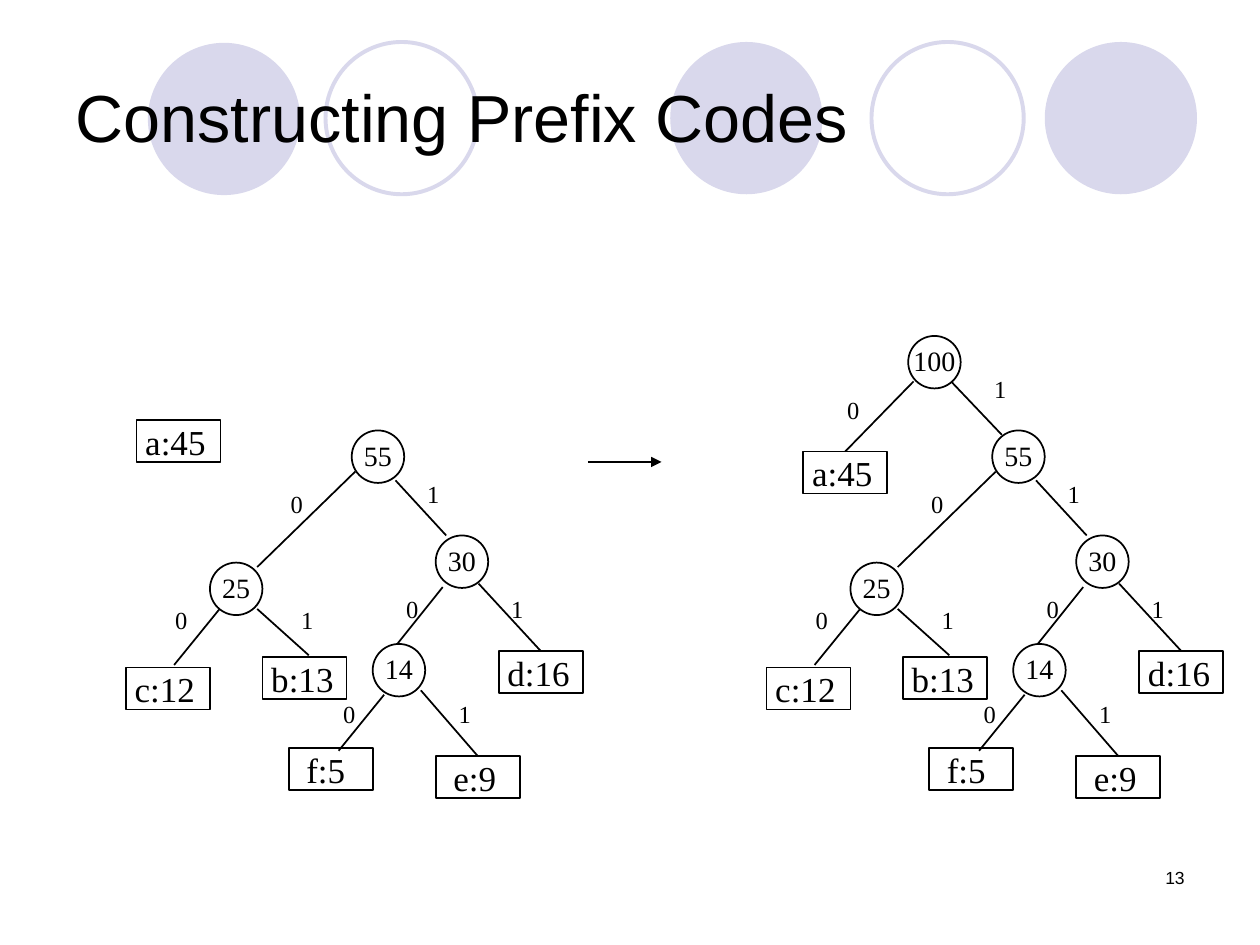
from lxml.etree import SubElement
from pptx import Presentation
from pptx.dml.color import RGBColor
from pptx.enum.shapes import MSO_CONNECTOR as CONN, MSO_SHAPE as SHAPE
from pptx.enum.text import MSO_ANCHOR as ANCHOR, PP_ALIGN as ALIGN
from pptx.oxml.ns import qn
from pptx.util import Pt

BLACK = RGBColor(0x00, 0x00, 0x00)
LILAC = RGBColor(0xD9, 0xD8, 0xEC)
SANS, SERIF = "Arial", "Times New Roman"
TREE_SHIFT = 366

SOLID_CIRCLES = [(383, 24), (597, 24), (84.5, 24.5)]
OPEN_CIRCLES = [(498, 24), (186, 24)]
NODES = [("55", 201, 246), ("25", 120, 321.5), ("30", 249, 306), ("14", 213, 368)]
LEAVES = [("c:12", 72, 381.5, 5), ("f:5", 165, 427.5, 10), ("b:13", 150, 375.5, 5),
          ("e:9", 249, 432, 10), ("d:16", 285, 372, 5)]
EDGES = [(203, 269.5, 147, 324, None), (125.5, 348, 99.5, 380, None),
         (253, 335.5, 227, 368, None), (219.5, 397, 193.5, 429, None),
         (226, 274.5, 255, 306, None), (273.5, 333.5, 309, 372, "d:16"),
         (240.5, 394.5, 273, 432, "e:9"), (147, 348, 176.5, 374.5, None)]
BITS = [("0", 159, 276), ("0", 93, 342), ("1", 165, 342), ("1", 237, 270),
        ("1", 285, 336), ("1", 255, 396), ("0", 189, 396), ("0", 225, 336)]


class TreeSlide:
    def __init__(self, s):
        self.s = s
        self.shapes = s.shapes

    def start_group(self):
        self.shapes = self.s.shapes.add_group_shape().shapes

    def end_group(self):
        self.shapes = self.s.shapes

    def set_text(self, sp, text, size, font=SERIF, align=ALIGN.LEFT,
                 anchor=ANCHOR.TOP, insets=(0, 0, 0, 0), wrap=True):
        tf = sp.text_frame
        sides = ("margin_left", "margin_top", "margin_right", "margin_bottom")
        frame = dict(zip(sides, map(Pt, insets)), word_wrap=wrap, vertical_anchor=anchor)
        for name, value in frame.items():
            setattr(tf, name, value)
        p = tf.paragraphs[0]
        p.alignment = align
        r = p.add_run()
        r.text = text
        for name, value in {"size": Pt(size), "name": font}.items():
            setattr(r.font, name, value)
        r.font.color.rgb = BLACK

    def shape(self, kind, x, y, w, h, fill=None, line=None, width=1):
        sp = self.shapes.add_shape(kind, Pt(x), Pt(y), Pt(w), Pt(h))
        sp.shadow.inherit = False
        for part, color in ((sp.fill, fill), (sp.line.fill, line)):
            if color is None:
                part.background()
            else:
                part.solid()
                part.fore_color.rgb = color
        if line is not None:
            sp.line.width = Pt(width)
        return sp

    def title(self, text):
        sp = self.s.shapes.title
        for name, value in {"left": 36, "top": 21.5, "width": 648, "height": 90}.items():
            setattr(sp, name, Pt(value))
        self.set_text(sp, text, 38, SANS, anchor=ANCHOR.MIDDLE, insets=(7.2, 3.6, 7.2, 3.6))
        self.s.shapes._spTree.append(sp._element)

    def text(self, text, x, y, w, h, size, font=SERIF, align=ALIGN.LEFT):
        sp = self.shapes.add_textbox(Pt(x), Pt(y), Pt(w), Pt(h))
        self.set_text(sp, text, size, font, align, insets=(7.2, 3.6, 7.2, 3.6))

    def node(self, text, x, y):
        sp = self.shape(SHAPE.OVAL, x, y, 30, 30, line=BLACK)
        self.set_text(sp, text, 16, align=ALIGN.CENTER, anchor=ANCHOR.MIDDLE,
                      insets=(0, 0, 0, 2), wrap=False)

    def leaf(self, text, x, y, indent):
        sp = self.shape(SHAPE.RECTANGLE, x, y, 48, 24, line=BLACK)
        self.set_text(sp, text, 20, insets=(indent, 0, 0, 0))
        return sp

    def bit(self, text, x, y):
        self.text(text, x, y, 36, 24.5, 14)

    def line(self, x1, y1, x2, y2, target=None, width=1, arrow=False):
        c = self.shapes.add_connector(CONN.STRAIGHT, Pt(x1), Pt(y1), Pt(x2), Pt(y2))
        c.line.color.rgb = BLACK
        c.line.width = Pt(width)
        if arrow:
            SubElement(c.line._get_or_add_ln(), qn("a:tailEnd"), type="triangle")
        SubElement(c._element.spPr, qn("a:effectLst"))
        if target is not None:
            c.end_connect(target, 0)

    def subtree(self, dx):
        for text, x, y in NODES:
            self.node(text, x + dx, y)
        leaves = {text: self.leaf(text, x + dx, y, indent) for text, x, y, indent in LEAVES}
        for x1, y1, x2, y2, name in EDGES:
            self.line(x1 + dx, y1, x2 + dx, y2, leaves.get(name))
        for text, x, y in BITS:
            self.bit(text, x + dx, y)


def main():
    prs = Presentation()
    prs.slide_width, prs.slide_height = Pt(720), Pt(540)
    slide = TreeSlide(prs.slides.add_slide(prs.slide_layouts[5]))

    for x, y in SOLID_CIRCLES:
        slide.shape(SHAPE.OVAL, x, y, 87, 87, fill=LILAC)
    for x, y in OPEN_CIRCLES:
        slide.shape(SHAPE.OVAL, x, y, 87, 87, line=LILAC, width=2.25)
    slide.text("13", 516, 492, 168, 36, 10, SANS, ALIGN.RIGHT)
    slide.title("Constructing Prefix Codes")

    slide.start_group()
    slide.node("100", 519, 192)
    leaf_a = slide.leaf("a:45", 459, 258, 5)
    slide.line(522, 218, 483, 258, leaf_a)
    slide.line(543.5, 218, 572.5, 248.5)
    slide.bit("0", 477, 222)
    slide.bit("1", 561, 210)
    slide.subtree(TREE_SHIFT)

    slide.start_group()
    slide.leaf("a:45", 78, 240, 5)
    slide.subtree(0)

    slide.end_group()
    slide.line(336, 264, 378, 264, width=1.5, arrow=True)
    prs.save("out.pptx")


if __name__ == "__main__":
    main()
